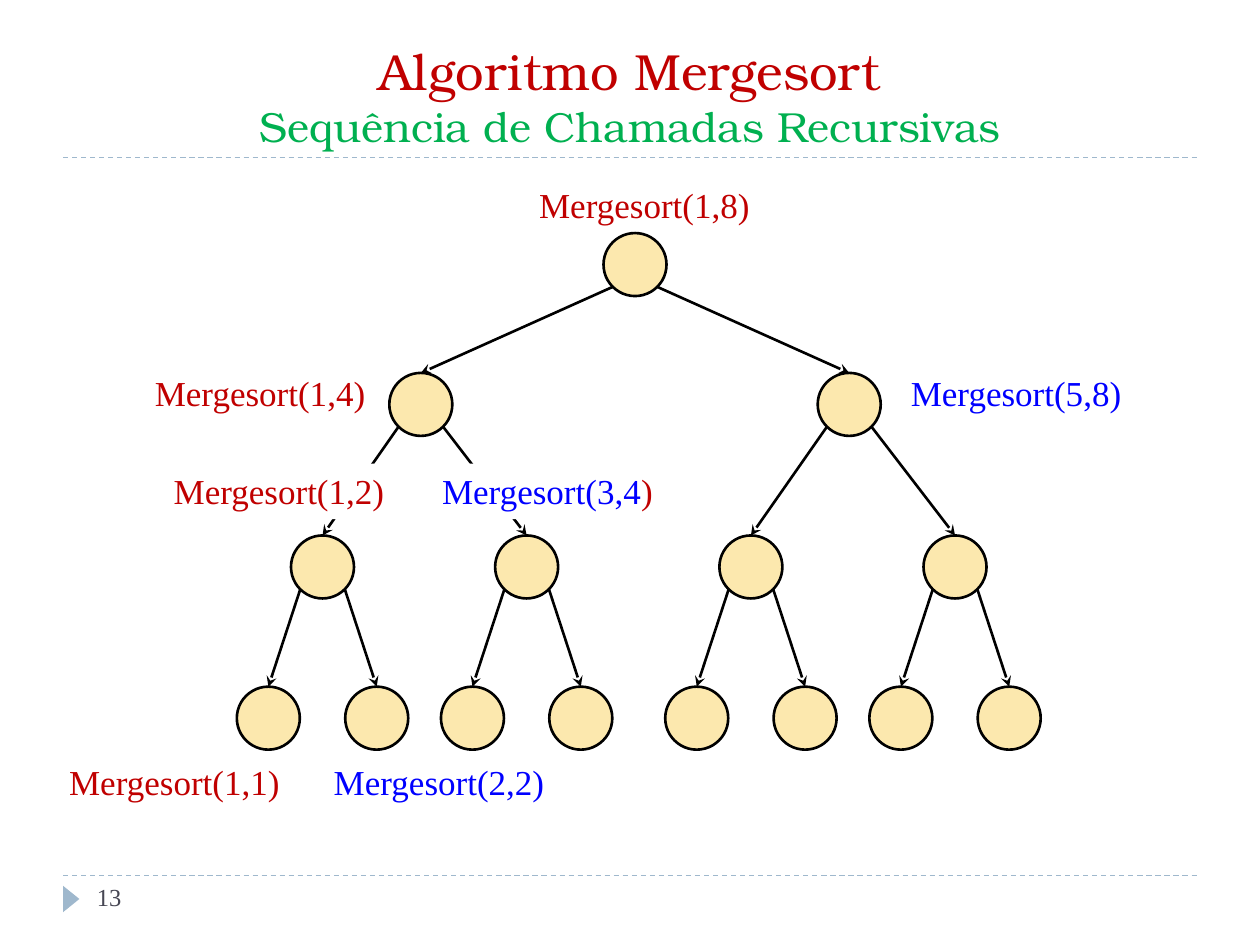
from dataclasses import dataclass

from lxml import etree
from pptx import Presentation
from pptx import util as u
from pptx.dml import color as dml
from pptx.enum import dml as lines, shapes, text
from pptx.oxml import ns
from pptx.slide import Slide

RED, BLUE, GREEN = "C00000", "0000FF", "00B050"
BLACK, WHITE, SLATE, MIST, CREAM = "000000", "FFFFFF", "464653", "9FB8CD", "FCE8AE"
SERIF, TITLE_FONT = "Times New Roman", "TeX Gyre Bonum"
LEVELS = [
    (2.1, (-1.7, 1.7)),
    (3.21, (-0.78, 0.84)),
    (4.5, (-0.43, 0.43)),
    (5.7, ()),
]


def rgb(value):
    return dml.RGBColor.from_string(value)


@dataclass
class Sketch:
    """Draws styled elements on the current slide."""

    page: Slide
    diameter: float = 0.5
    stroke: float = 1.5

    def label(self, left, top, width, height, runs, size=20, font=SERIF, fill=None,
              align=text.PP_ALIGN.LEFT, anchor=text.MSO_ANCHOR.TOP):
        box = self.page.shapes.add_textbox(*map(u.Inches, (left, top, width, height)))
        if fill:
            box.fill.solid()
            box.fill.fore_color.rgb = rgb(fill)
        frame = box.text_frame
        frame.word_wrap = True
        frame.vertical_anchor = anchor
        para = frame.paragraphs[0]
        para.alignment = align
        for words, color in runs:
            self.span(para, words, size, font, color)
        return para

    def span(self, para, words, size, font, color):
        span = para.add_run()
        span.text = words
        span.font.size = u.Pt(size)
        span.font.name = font
        span.font.color.rgb = rgb(color)

    def shape(self, kind, left, top, width, height, fill, outline=None):
        item = self.page.shapes.add_shape(kind, *map(u.Inches, (left, top, width, height)))
        item.shadow.inherit = False
        item.fill.solid()
        item.fill.fore_color.rgb = rgb(fill)
        if outline:
            item.line.color.rgb = rgb(outline)
            item.line.width = u.Pt(self.stroke)
        else:
            item.line.fill.background()
        return item

    def line(self, start, end, color, width):
        link = self.page.shapes.add_connector(
            shapes.MSO_CONNECTOR.STRAIGHT, *map(u.Inches, (*start, *end)))
        link.line.color.rgb = rgb(color)
        link.line.width = u.Pt(width)
        etree.SubElement(link._element.spPr, ns.qn("a:effectLst"))
        return link

    def rule(self, y):
        self.line((0.5, y), (9.5, y), MIST, 0.75).line.dash_style = lines.MSO_LINE.DASH

    def arrow(self, start, end):
        link = self.line(start, end, BLACK, self.stroke)
        etree.SubElement(link.line._get_or_add_ln(), ns.qn("a:tailEnd"), type="stealth")

    def tree(self, x, level=0):
        y, offsets = LEVELS[level]
        radius = self.diameter / 2
        corner = radius * 0.5 ** 0.5
        self.shape(shapes.MSO_SHAPE.OVAL, x - radius, y - radius,
                   self.diameter, self.diameter, CREAM, BLACK)
        for offset in offsets:
            side = corner if offset > 0 else -corner
            child_y = LEVELS[level + 1][0]
            self.arrow((x + side, y + corner), (x + offset, child_y - radius))
            self.tree(x + offset, level + 1)


def main():
    deck = Presentation()
    deck.slide_width, deck.slide_height = u.Inches(10), u.Inches(7.5)
    sketch = Sketch(deck.slides.add_slide(deck.slide_layouts[6]))

    for y in (6.95, 1.25):
        sketch.rule(y)
    marker = sketch.shape(shapes.MSO_SHAPE.ISOSCELES_TRIANGLE, 0.46, 7.07, 0.21, 0.13, MIST)
    marker.rotation = 90

    title = sketch.label(0.5, 0.25, 9, 1, [("Algoritmo Mergesort", RED)], 29, TITLE_FONT,
                         align=text.PP_ALIGN.CENTER, anchor=text.MSO_ANCHOR.BOTTOM)
    title.add_line_break()
    sketch.span(title, "Sequência de Chamadas Recursivas", 24, TITLE_FONT, GREEN)
    sketch.label(0.67, 6.95, 2.17, 0.4, [("13", SLATE)], 14)

    sketch.tree(5.04)
    calls = [
        (4.18, 1.41, None, [("Mergesort(1,8)", RED)]),
        (1.13, 2.9, None, [("Mergesort(1,4)", RED)]),
        (7.13, 2.9, None, [("Mergesort(5,8)", BLUE)]),
        (1.28, 3.68, WHITE, [("Mergesort(1,2)", RED)]),
        (3.41, 3.68, WHITE, [("Mergesort(3,4", BLUE), (")", RED)]),
        (0.45, 5.99, WHITE, [("Mergesort(1,1)", RED)]),
        (2.55, 5.99, WHITE, [("Mergesort(2,2)", BLUE)]),
    ]
    for left, top, fill, runs in calls:
        sketch.label(left, top, 1.88, 0.44, runs, fill=fill)

    deck.save("out.pptx")


if __name__ == "__main__":
    main()
